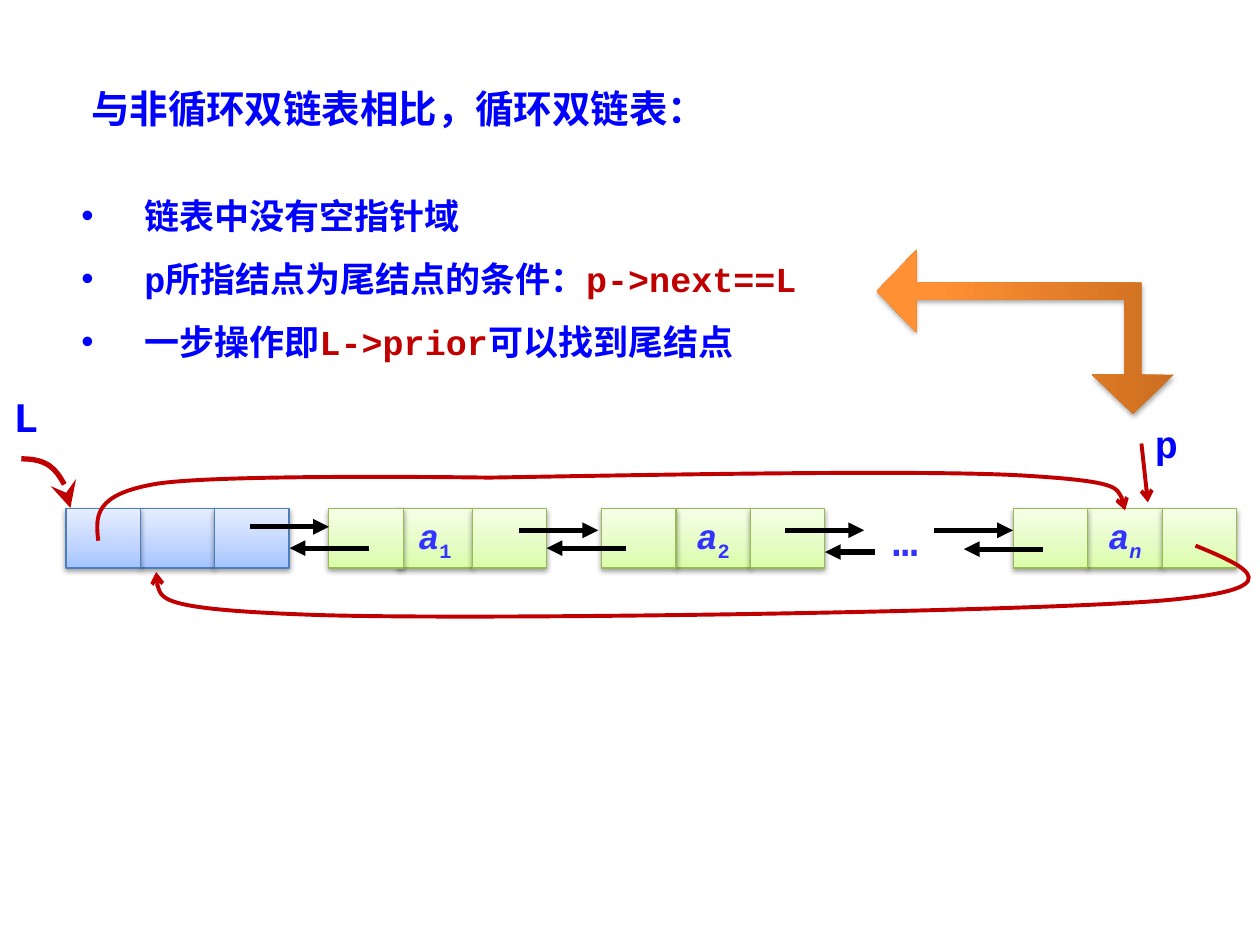
import copy
from collections import namedtuple
from dataclasses import dataclass

import pptx
import pptx.util
import pptx.dml.color
import pptx.enum.shapes
import pptx.enum.text
import pptx.oxml
import pptx.oxml.ns
from lxml import etree

Cm, Pt = pptx.util.Cm, pptx.util.Pt
qn = pptx.oxml.ns.qn
RGB = pptx.dml.color.RGBColor.from_string
SHAPE = pptx.enum.shapes.MSO_SHAPE
ALIGN = pptx.enum.text.PP_ALIGN
Box = namedtuple("Box", "left top width height")


@dataclass(frozen=True)
class Theme:
    font = "Courier New"
    blue, red, black, label = "0000FF", "C00000", "000000", "3333FF"
    title, body, pointer, value = 22, 20, 24, 20
    head_fill = ((0, "A4C4FF"), (0.35, "BFD4FF"), (1, "E6EEFF"))
    node_fill = ((0, "DAFDA7"), (0.35, "E4FCC2"), (1, "F5FFE7"))
    turn_fill = ((0, "CC6E20"), (0.8, "FF9034"), (1, "FF9136"))
    head_line, node_line = "4B7EBC", "98B955"
    link, curve = 3, 2.25


THEME = Theme()


def within(box, left, top, width=0, height=0):
    return Box(box.left + left, box.top + top, width, height)


def lengths(values):
    return [Cm(value) for value in values]


def add_span(para, text, size, color, italic=False, baseline=None):
    span = para.add_run()
    span.text = text
    formats = {"name": THEME.font, "size": Pt(size), "bold": True, "italic": italic}
    for name, value in formats.items():
        setattr(span.font, name, value)
    span.font.color.rgb = RGB(color)
    if baseline:
        span._r.get_or_add_rPr().set("baseline", str(baseline))


def add_text(page, box, text="", size=0, color=THEME.blue, align=ALIGN.LEFT):
    frame = page.shapes.add_textbox(*lengths(box)).text_frame
    frame.word_wrap = True
    frame.auto_size = pptx.enum.text.MSO_AUTO_SIZE.SHAPE_TO_FIT_TEXT
    if text:
        frame.paragraphs[0].alignment = align
        add_span(frame.paragraphs[0], text, size, color)
    return frame


def fill_gradient(shape, stops):
    shape.fill.gradient()
    shape.fill.gradient_angle = 90
    stop_list = shape._element.spPr.find(qn("a:gradFill")).find(qn("a:gsLst"))
    while len(stop_list) < len(stops):
        stop_list.append(copy.deepcopy(stop_list[-1]))
    for stop, (position, color) in zip(shape.fill.gradient_stops, stops):
        stop.position = position
        stop.color.rgb = RGB(color)


def drop_shadow(shape, distance, opacity):
    shape.shadow.inherit = False
    effects = shape._element.spPr.find(qn("a:effectLst"))
    shadow = etree.SubElement(effects, qn("a:outerShdw"), blurRad=str(Pt(3.1)),
                              dist=str(Pt(distance)), dir="5400000", rotWithShape="0")
    color = etree.SubElement(shadow, qn("a:srgbClr"), val=THEME.black)
    etree.SubElement(color, qn("a:alpha"), val=str(opacity * 1000))


def style_stroke(shape, color, width, head, head_size="med"):
    shape.line.color.rgb = RGB(color)
    shape.line.width = Pt(width)
    properties = shape._element.spPr
    etree.SubElement(properties.find(qn("a:ln")), qn("a:tailEnd"),
                     type=head, w=head_size, len=head_size)
    etree.SubElement(properties, qn("a:effectLst"))


def add_arrow(page, box, start, end, color, width, head):
    first, last = within(box, *start), within(box, *end)
    kind = pptx.enum.shapes.MSO_CONNECTOR.STRAIGHT
    line = page.shapes.add_connector(kind, *lengths(first[:2] + last[:2]))
    style_stroke(line, color, width, head)


def add_curve(page, box, controls, width, head, head_size="med"):
    placed = [lengths(within(box, *point)[:2]) for point in controls]
    builder = page.shapes.build_freeform(*placed[0])
    builder.add_line_segments(placed[1:], close=False)
    curve = builder.convert_to_shape()
    segments = list(curve._element.spPr.iter(qn("a:lnTo")))
    for index in range(0, len(segments), 3):
        outline = segments[index].getparent()
        bend = etree.SubElement(outline, qn("a:cubicBezTo"))
        for segment in segments[index:index + 3]:
            bend.append(segment[0])
            outline.remove(segment)
    curve.fill.background()
    style_stroke(curve, THEME.red, width, head, head_size)


def add_bullets(page, box):
    blue, red = THEME.blue, THEME.red
    items = (
        (("链表中没有空指针域", blue),),
        (("p所指结点为尾结点的条件：", blue), ("p->next==L", red)),
        (("一步操作即", blue), ("L->prior", red), ("可以找到尾结点", blue)),
    )
    frame = add_text(page, box)
    for index, item in enumerate(items):
        para = frame.add_paragraph() if index else frame.paragraphs[0]
        para.line_spacing = 1.5
        properties = para._p.get_or_add_pPr()
        properties.set("marL", str(Cm(1.27)))
        properties.set("indent", str(Cm(-1.27)))
        etree.SubElement(properties, qn("a:buFont"), typeface="Arial")
        etree.SubElement(properties, qn("a:buChar"), char="•")
        for text, color in item:
            add_span(para, text, THEME.body, color)


def add_turn_arrow(page, box):
    arrow = page.shapes.add_shape(SHAPE.LEFT_UP_ARROW, *lengths(box))
    arrow.rotation = 270
    for index, value in enumerate((0.104, 0.25, 0.24)):
        arrow.adjustments[index] = value
    fill_gradient(arrow, THEME.turn_fill)
    arrow.line.fill.background()
    drop_shadow(arrow, 1.8, 35)


def add_node(page, box, stops, border, subscript="", overlap=0):
    cell_width = box.width / 3
    for part in (1, 2, 0):
        shift = part * cell_width - (overlap if part else 0)
        cell_box = within(box, shift, 0, cell_width, box.height)
        cell = page.shapes.add_shape(SHAPE.RECTANGLE, *lengths(cell_box))
        fill_gradient(cell, stops)
        cell.line.color.rgb = RGB(border)
        cell.line.width = Pt(0.75)
        drop_shadow(cell, 1.6, 38)
        if part == 1 and subscript:
            frame = cell.text_frame
            frame.word_wrap = False
            frame.vertical_anchor = pptx.enum.text.MSO_ANCHOR.MIDDLE
            para = frame.paragraphs[0]
            para.alignment = ALIGN.CENTER
            add_span(para, "a", THEME.value, THEME.label, True)
            add_span(para, subscript, THEME.value, THEME.label, subscript == "n", -25000)


def add_list_diagram(page, box):
    add_node(page, within(box, 1.33, 2.5, 4.5, 1.2), THEME.head_fill, THEME.head_line)
    for left, subscript, overlap in ((6.63, "1", 0.11), (12.13, "2", 0), (20.43, "n", 0)):
        add_node(page, within(box, left, 2.5, 4.5, 1.2), THEME.node_fill,
                 THEME.node_line, subscript, overlap)

    links = ((5.03, 2.87, 1.6), (10.46, 2.94, 1.6), (15.82, 2.94, 1.6), (18.82, 2.94, 1.6),
             (7.44, 3.3, -1.6), (12.62, 3.3, -1.6), (17.63, 3.38, -1), (21.03, 3.32, -1.6))
    for left, top, reach in links:
        add_arrow(page, box, (left, top), (left + reach, top), THEME.black, THEME.link, "triangle")

    next_loop = ((24.1, 3.25), (25.15, 3.68), (26.19, 4.14), (23.27, 4.37), (20.32, 4.59),
                 (9.8, 4.75), (6.45, 4.65), (3.1, 4.54), (3.12, 4.16), (3.15, 3.78))
    prior_loop = ((1.98, 3.15), (1.93, 2.66), (1.88, 2.21), (3.18, 2), (4.5, 1.8),
                  (9.86, 1.88), (9.86, 1.88), (12.73, 1.83), (18.36, 1.72), (20.5, 1.83),
                  (22.63, 1.95), (22.66, 2.23), (22.68, 2.54))
    head_pointer = ((0.43, 1.5), (0.97, 1.5), (1.42, 1.95), (1.42, 2.49))
    add_curve(page, box, next_loop, THEME.curve, "arrow")
    add_curve(page, box, prior_loop, THEME.curve, "arrow")
    add_curve(page, box, head_pointer, THEME.link, "stealth", "lg")
    add_arrow(page, box, (23.01, 1.19), (23.14, 2.38), THEME.red, THEME.curve, "arrow")

    add_text(page, within(box, 0.02, 0, 1.19, 1.27), "L", THEME.pointer)
    add_text(page, within(box, 17.45, 2.49, 1.6, 1.27), "…", THEME.pointer,
             THEME.label, ALIGN.CENTER)
    add_text(page, within(box, 23.02, 0.6, 0.99, 1.19), "p", THEME.title, align=ALIGN.CENTER)


def main():
    deck = pptx.Presentation()
    deck.slide_width, deck.slide_height = Cm(25.4), Cm(19.05)
    page = deck.slides.add_slide(deck.slide_layouts[6])
    add_bullets(page, Box(1.39, 3.38, 17.65, 4.11))
    add_text(page, Box(1.59, 1.59, 15.09, 1.19), "与非循环双链表相比，循环双链表：", THEME.title)
    add_list_diagram(page, Box(0, 7.75, 25.4, 4.75))
    add_turn_arrow(page, Box(19.02, 3.7, 3.3, 5.99))
    deck.save("out.pptx")


if __name__ == "__main__":
    main()
